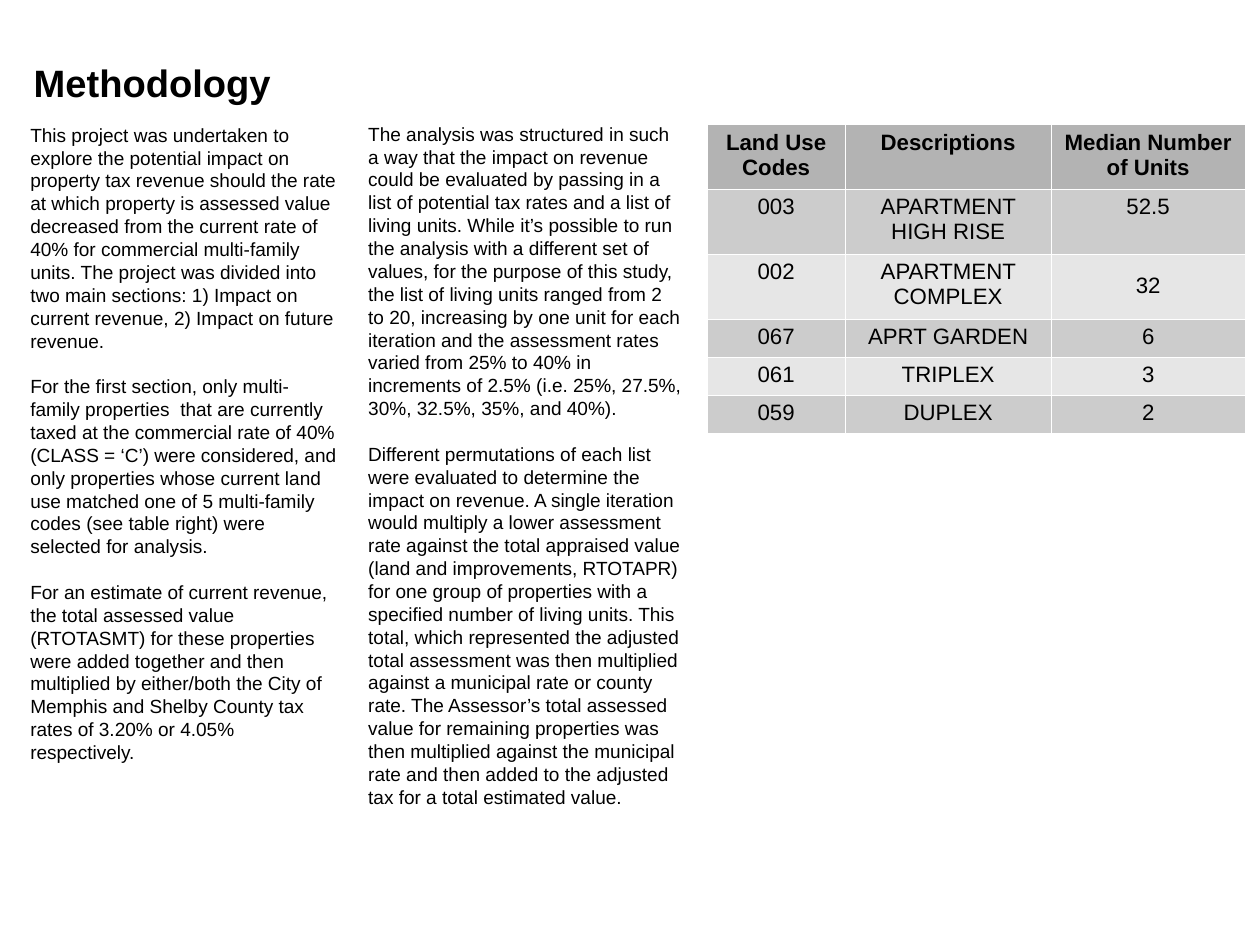
"""Build the Methodology slide: two text columns and a land use table."""
from dataclasses import dataclass

from lxml import etree
from pptx import Presentation
from pptx.dml.color import RGBColor
from pptx.enum.text import MSO_ANCHOR, PP_ALIGN
from pptx.oxml.ns import qn
from pptx.slide import Slide
from pptx.table import _Cell
from pptx.text.text import _Paragraph
from pptx.util import Pt

LEFT, CENTER = PP_ALIGN.LEFT, PP_ALIGN.CENTER
TOP, MIDDLE = MSO_ANCHOR.TOP, MSO_ANCHOR.MIDDLE


@dataclass(frozen=True)
class Theme:
    font: str = "Arial"
    ink: str = "000000"
    head: str = "B3B3B3"
    bands: tuple[str, str] = ("CCCCCC", "E6E6E6")
    rule: str = "FFFFFF"
    rule_width: float = 0.06
    title: float = 24
    body: float = 12
    table: float = 14
    leading: float = 14.4


@dataclass(frozen=True)
class Box:
    left: float
    top: float
    width: float
    height: float


@dataclass(frozen=True)
class Column:
    box: Box
    texts: tuple[str, ...]


THEME = Theme()
PAGE = Box(0, 0, 793.75, 595.25)
TITLE = Box(21.3, 33.84, 153.36, 36)
GRID = Box(445.4, 78.2, 339.12, 185.76)

COLUMNS = (
    Column(Box(19.1, 77.6, 194.4, 416.88), (
        "This project was undertaken to explore the potential impact on property tax "
        "revenue should the rate at which property is assessed value decreased from the "
        "current rate of 40% for commercial multi-family units. The project was divided "
        "into two main sections: 1) Impact on current revenue, 2) Impact on future revenue.",
        "For the first section, only multi-family properties  that are currently taxed at "
        "the commercial rate of 40% (CLASS = ‘C’) were considered, and only properties "
        "whose current land use matched one of 5 multi-family codes (see table right) "
        "were selected for analysis.",
        "For an estimate of current revenue, the total assessed value (RTOTASMT) for these "
        "properties were added together and then multiplied by either/both the City of "
        "Memphis and Shelby County tax rates of 3.20% or 4.05% respectively.",
    )),
    Column(Box(232, 77, 198.2, 416.88), (
        "The analysis was structured in such a way that the impact on revenue could be "
        "evaluated by passing in a list of potential tax rates and a list of living units. "
        "While it’s possible to run the analysis with a different set of values, for the "
        "purpose of this study, the list of living units ranged from 2 to 20, increasing "
        "by one unit for each iteration and the assessment rates varied from 25% to 40% "
        "in increments of 2.5% (i.e. 25%, 27.5%, 30%, 32.5%, 35%, and 40%).",
        "Different permutations of each list were evaluated to determine the impact on "
        "revenue. A single iteration would multiply a lower assessment rate against the "
        "total appraised value (land and improvements, RTOTAPR) for one group of "
        "properties with a specified number of living units. This total, which "
        "represented the adjusted total assessment was then multiplied against a "
        "municipal rate or county rate. The Assessor’s total assessed value for remaining "
        "properties was then multiplied against the municipal rate and then added to the "
        "adjusted tax for a total estimated value.",
    )),
)

UNITS = (
    ("Land Use Codes", "Descriptions", "Median Number of Units"),
    ("003", "APARTMENT HIGH RISE", "52.5"),
    ("002", "APARTMENT COMPLEX", "32"),
    ("067", "APRT GARDEN", "6"),
    ("061", "TRIPLEX", "3"),
    ("059", "DUPLEX", "2"),
)
WIDTHS = (87.12, 129.6, 122.4)
HEIGHTS = (38.88,) * 3 + (23.04,) * 3
CENTERED = "32"


def place(box: Box) -> tuple[Pt, Pt, Pt, Pt]:
    return Pt(box.left), Pt(box.top), Pt(box.width), Pt(box.height)


def write(para: _Paragraph, text: str, size: float, bold: bool = False,
          align: PP_ALIGN = LEFT) -> None:
    para.alignment = align
    run = para.add_run()
    run.text = text
    run.font.name = THEME.font
    run.font.size = Pt(size)
    run.font.bold = bold
    run.font.color.rgb = RGBColor.from_string(THEME.ink)


def add_text(slide: Slide, box: Box, texts: tuple[str, ...], size: float,
             bold: bool = False, anchor: MSO_ANCHOR = TOP,
             leading: float | None = None) -> None:
    frame = slide.shapes.add_textbox(*place(box)).text_frame
    frame.word_wrap = True
    frame.vertical_anchor = anchor
    frame.margin_left = frame.margin_right = Pt(0)
    frame.margin_top = frame.margin_bottom = Pt(0)
    for index, text in enumerate(texts):
        para = frame.add_paragraph() if index else frame.paragraphs[0]
        if leading:
            para.line_spacing = Pt(leading)
            para.space_before = Pt(leading if index else 0)
        write(para, text, size, bold)


def add_rules(cell: _Cell) -> None:
    props = cell._tc.get_or_add_tcPr()
    for index, side in enumerate(("lnL", "lnR", "lnT", "lnB")):
        line = etree.Element(qn(f"a:{side}"), w=str(Pt(THEME.rule_width)))
        fill = etree.SubElement(line, qn("a:solidFill"))
        etree.SubElement(fill, qn("a:srgbClr"), val=THEME.rule)
        props.insert(index, line)


def add_grid(slide: Slide) -> None:
    table = slide.shapes.add_table(len(UNITS), len(WIDTHS), *place(GRID)).table
    table.first_row = table.horz_banding = False
    for column, width in zip(table.columns, WIDTHS):
        column.width = Pt(width)
    for index, (row, height, texts) in enumerate(zip(table.rows, HEIGHTS, UNITS)):
        row.height = Pt(height)
        is_head = index == 0
        shade = THEME.head if is_head else THEME.bands[(index - 1) % 2]
        for cell, text in zip(row.cells, texts):
            cell.fill.solid()
            cell.fill.fore_color.rgb = RGBColor.from_string(shade)
            cell.vertical_anchor = MIDDLE if text == CENTERED else TOP
            write(cell.text_frame.paragraphs[0], text, THEME.table, is_head, CENTER)
            add_rules(cell)


def main() -> None:
    deck = Presentation()
    deck.slide_width, deck.slide_height = Pt(PAGE.width), Pt(PAGE.height)
    slide = deck.slides.add_slide(deck.slide_layouts[6])
    add_text(slide, TITLE, ("Methodology",), THEME.title, bold=True, anchor=MIDDLE)
    for column in COLUMNS:
        add_text(slide, column.box, column.texts, THEME.body, leading=THEME.leading)
    add_grid(slide)
    deck.save("out.pptx")


if __name__ == "__main__":
    main()
